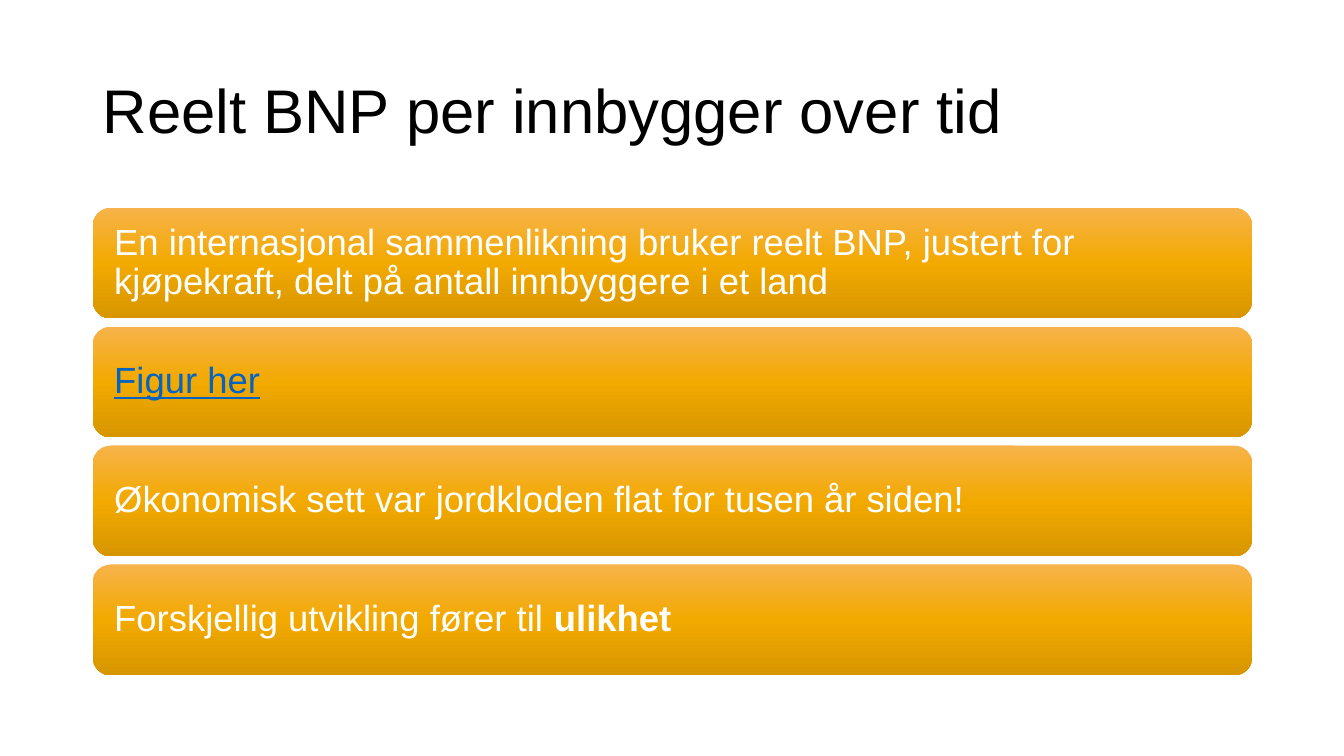
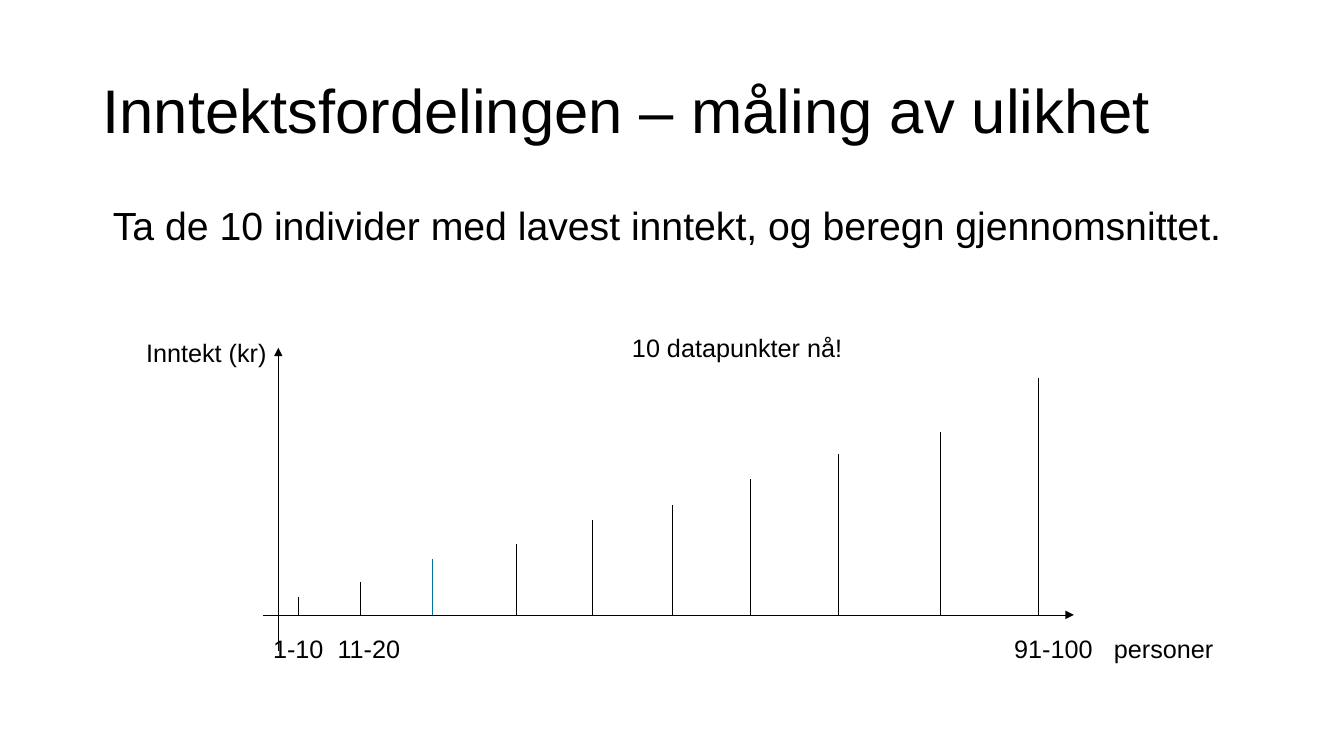
from dataclasses import dataclass

from lxml.etree import SubElement
from pptx import Presentation
from pptx.dml.color import RGBColor
from pptx.enum.shapes import MSO_CONNECTOR, MSO_SHAPE
from pptx.enum.text import MSO_ANCHOR, PP_ALIGN
from pptx.oxml.ns import qn
from pptx.slide import Slide
from pptx.text.text import TextFrame
from pptx.util import Inches, Pt

COLORS = {
    "ink": "000000",
    "white": "FFFFFF",
    "link": "0563C1",
    "highlight": "007396",
    "band_top": "F7B34B",
    "band_middle": "F2A900",
    "band_bottom": "D79600",
}
FONT = "Arial"
MARGIN = 0.92
CONTENT_WIDTH = 11.5

BAND_TOP, BAND_HEIGHT, BAND_PITCH = 2.06, 1.1, 1.18
BAND_STOPS = {0: "band_top", 50: "band_middle", 100: "band_bottom"}

BASELINE = 6.1
AXIS_LABEL_TOP = 6.23


@dataclass(frozen=True)
class TextPart:
    text: str
    color: str = "ink"
    bold: bool = False
    underline: bool = False


@dataclass(frozen=True)
class Label:
    text: str
    left: float
    top: float
    width: float


@dataclass(frozen=True)
class IncomeBar:
    x: float
    top: float
    color: str = "ink"


BANDS = [
    [TextPart("En internasjonal sammenlikning bruker reelt BNP, justert for "
              "kjøpekraft, delt på antall innbyggere i et land", "white")],
    [TextPart("Figur her", "link", underline=True)],
    [TextPart("Økonomisk sett var jordkloden flat for tusen år siden!", "white")],
    [TextPart("Forskjellig utvikling fører til ", "white"),
     TextPart("ulikhet", "white", bold=True)],
]

INCOME_BARS = [
    IncomeBar(2.96, 5.92),
    IncomeBar(3.57, 5.77),
    IncomeBar(4.29, 5.55, "highlight"),
    IncomeBar(5.12, 5.4),
    IncomeBar(5.88, 5.16),
    IncomeBar(6.67, 5.01),
    IncomeBar(7.44, 4.75),
    IncomeBar(8.32, 4.5),
    IncomeBar(9.33, 4.29),
    IncomeBar(10.3, 3.75),
]

DIAGRAM_LABELS = [
    Label("Inntekt (kr)", 1.35, 3.3, 1.41),
    Label("10 datapunkter nå!", 6.17, 3.25, 2.33),
    Label("1-10", 2.61, AXIS_LABEL_TOP, 0.8),
    Label("11-20", 3.25, AXIS_LABEL_TOP, 0.9),
    Label("91-100", 9.96, AXIS_LABEL_TOP, 1.05),
    Label("personer", 10.95, AXIS_LABEL_TOP, 1.2),
]


def rgb(name: str) -> RGBColor:
    return RGBColor.from_string(COLORS[name])


def write(frame: TextFrame, parts: list[TextPart], size: float,
          line_spacing: float = 1.0) -> None:
    """Fill the first paragraph of the frame, run by run."""
    frame.word_wrap = True
    paragraph = frame.paragraphs[0]
    paragraph.alignment = PP_ALIGN.LEFT
    paragraph.line_spacing = line_spacing
    for part in parts:
        run = paragraph.add_run()
        run.text = part.text
        run.font.name = FONT
        run.font.size = Pt(size)
        run.font.color.rgb = rgb(part.color)
        run.font.bold = part.bold
        run.font.underline = part.underline


def add_text(slide: Slide, text: str, left: float, top: float, width: float,
             height: float, size: float, line_spacing: float = 1.0) -> TextFrame:
    box = slide.shapes.add_textbox(Inches(left), Inches(top),
                                   Inches(width), Inches(height))
    write(box.text_frame, [TextPart(text)], size, line_spacing)
    return box.text_frame


def add_titled_slide(presentation, title: str) -> Slide:
    slide = presentation.slides.add_slide(presentation.slide_layouts[6])
    frame = add_text(slide, title, MARGIN, 0.4, CONTENT_WIDTH, 1.45, 44, 0.9)
    frame.vertical_anchor = MSO_ANCHOR.MIDDLE
    return slide


def add_band(slide: Slide, top: float, parts: list[TextPart]) -> None:
    band = slide.shapes.add_shape(
        MSO_SHAPE.ROUNDED_RECTANGLE, Inches(MARGIN), Inches(top),
        Inches(CONTENT_WIDTH), Inches(BAND_HEIGHT))
    band.shadow.inherit = False
    band.line.fill.background()
    band.fill.gradient()
    band.fill.gradient_angle = 270
    stops = band._element.spPr.find(f".//{qn('a:gsLst')}")
    for stop in list(stops):
        stops.remove(stop)
    for percent, color in BAND_STOPS.items():
        stop = SubElement(stops, qn("a:gs"), pos=str(percent * 1000))
        SubElement(stop, qn("a:srgbClr"), val=COLORS[color])

    frame = band.text_frame
    frame.margin_left = frame.margin_right = Inches(0.16)
    frame.margin_top = frame.margin_bottom = Inches(0.11)
    frame.vertical_anchor = MSO_ANCHOR.MIDDLE
    write(frame, parts, 26, 0.9)


def add_line(slide: Slide, start: tuple[float, float], end: tuple[float, float],
             color: str = "ink", arrow: bool = False) -> None:
    line = slide.shapes.add_connector(
        MSO_CONNECTOR.STRAIGHT, *map(Inches, start), *map(Inches, end))
    line.line.color.rgb = rgb(color)
    line.line.width = Pt(0.5)
    if arrow:
        SubElement(line.line._get_or_add_ln(), qn("a:tailEnd"), type="triangle")
    SubElement(line._element.spPr, qn("a:effectLst"))


def build_gdp_slide(presentation) -> None:
    slide = add_titled_slide(presentation, "Reelt BNP per innbygger over tid")
    for index, parts in enumerate(BANDS):
        add_band(slide, BAND_TOP + index * BAND_PITCH, parts)


def build_income_slide(presentation) -> None:
    slide = add_titled_slide(presentation,
                             "Inntektsfordelingen – måling av ulikhet")
    instruction = add_text(
        slide, "Ta de 10 individer med lavest inntekt, og beregn gjennomsnittet.",
        MARGIN, 2, CONTENT_WIDTH, 0.6, 28, 0.9)
    instruction.margin_left = Inches(0.2)

    add_line(slide, (2.61, BASELINE), (10.65, BASELINE), arrow=True)
    add_line(slide, (2.76, 6.46), (2.76, 3.45), arrow=True)
    for bar in INCOME_BARS:
        add_line(slide, (bar.x, BASELINE), (bar.x, bar.top), bar.color)
    for label in DIAGRAM_LABELS:
        add_text(slide, label.text, label.left, label.top, label.width, 0.4, 18)


def main() -> None:
    presentation = Presentation()
    presentation.slide_width = Inches(13.33)
    presentation.slide_height = Inches(7.5)
    build_gdp_slide(presentation)
    build_income_slide(presentation)
    presentation.save("out.pptx")


if __name__ == "__main__":
    main()
